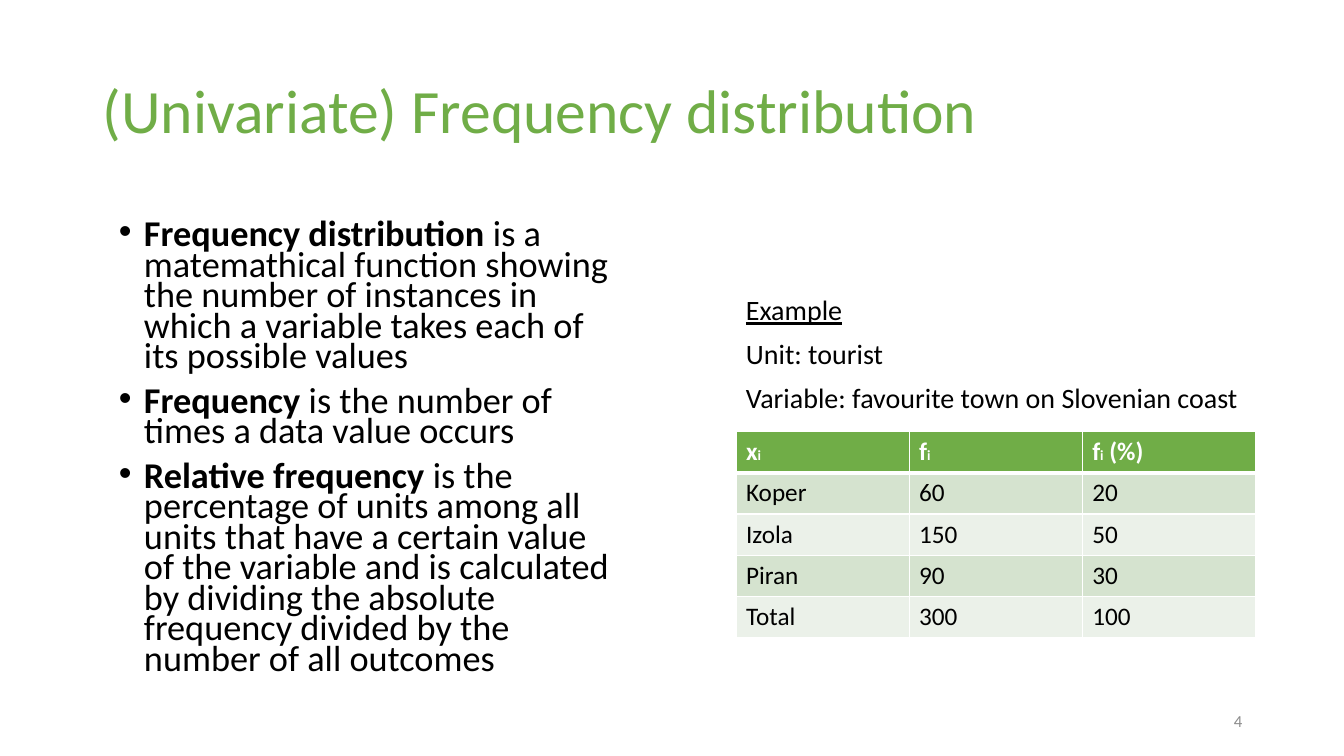
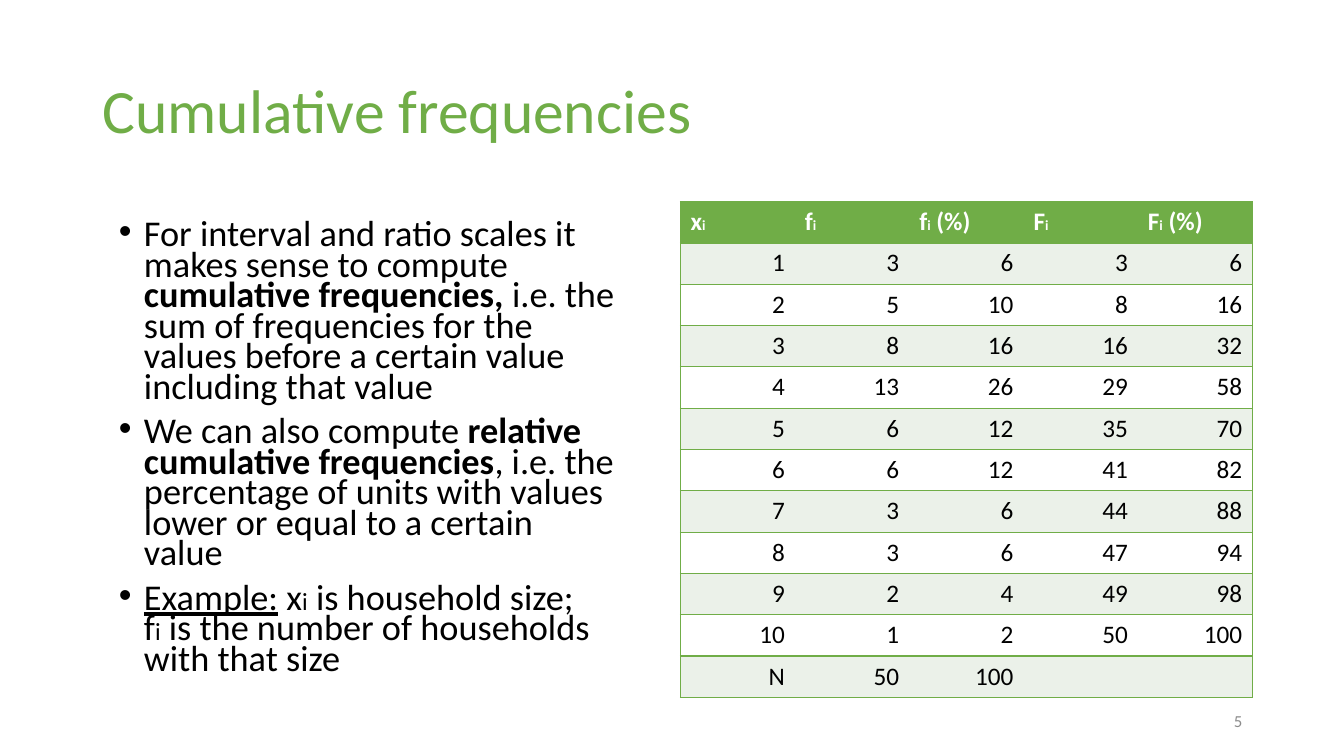
from lxml.etree import SubElement
from pptx import Presentation
from pptx.dml.color import RGBColor
from pptx.enum.text import MSO_ANCHOR, PP_ALIGN
from pptx.oxml.ns import qn
from pptx.util import Inches, Pt

FONT = "Calibri"
GREEN, BLACK, WHITE, GREY = "70AD47", "000000", "FFFFFF", "8C8C8C"
MID_GREEN, PALE_GREEN = "D5E3CF", "EBF1E9"
TITLE_BOX = (0.92, 0.4, 11.5, 1.45)
BODY_BOX = (1.08, 2.16, 5.14, 4.76)
EXAMPLE_BOX = (7.3, 2.89, 5.14, 1.4)
NUMBER_BOX = (9.42, 6.95, 3, 0.4)
ROW_HEIGHT = 0.41
BODY_SIZE, BODY_SUBSCRIPT = 25.9, 17.6
CELL_SIZE, CELL_SUBSCRIPT = 18, 10

X = [("x", ""), ("i", "sub")]
F = [("f", ""), ("i", "sub")]
CUMULATIVE_F = [("F", ""), ("i", "sub")]
PERCENT = [(" (%)", "")]

SLIDES = [
    {
        "title": "(Univariate) Frequency distribution",
        "number": 4,
        "bullets": [
            [("Frequency distribution ", "bold"),
             ("is a matemathical function showing the number of instances in which "
              "a variable takes each of its possible values", "")],
            [("Frequency ", "bold"), ("is the number of times a data value occurs", "")],
            [("Relative frequency ", "bold"),
             ("is the percentage of units among all units that have a certain value of "
              "the variable and is calculated by dividing the absolute frequency divided "
              "by the number of all outcomes", "")],
        ],
        "example": [
            [("Example", "underline")],
            [("Unit: tourist", "")],
            [("Variable: favourite town on Slovenian coast", "")],
        ],
        "table": {
            "box": (7.3, 4.28, 5.15),
            "header": [X, F, F + PERCENT],
            "rows": [
                ("Koper", 60, 20),
                ("Izola", 150, 50),
                ("Piran", 90, 30),
                ("Total", 300, 100),
            ],
            "bands": (MID_GREEN, PALE_GREEN),
            "align": PP_ALIGN.LEFT,
            "line": WHITE,
            "inner_columns": True,
            "header_line": 3,
        },
    },
    {
        "title": "Cumulative frequencies",
        "number": 5,
        "bullets": [
            [("For interval and ratio scales it makes sense to compute ", ""),
             ("cumulative frequencies,", "bold"),
             (" i.e. the sum of frequencies for the values before a certain value "
              "including that value", "")],
            [("We can also compute ", ""),
             ("relative cumulative frequencies", "bold"),
             (", i.e. the percentage of units with values lower or equal to a certain "
              "value", "")],
            [("Example:", "underline"), (" x", ""), ("i", "sub"),
             (" is household size;\nf", ""), ("i", "sub"),
             (" is the number of households with that size", "")],
        ],
        "example": [],
        "table": {
            "box": (6.75, 2, 5.67),
            "header": [X, F, F + PERCENT, CUMULATIVE_F, CUMULATIVE_F + PERCENT],
            "rows": [
                (1, 3, 6, 3, 6),
                (2, 5, 10, 8, 16),
                (3, 8, 16, 16, 32),
                (4, 13, 26, 29, 58),
                (5, 6, 12, 35, 70),
                (6, 6, 12, 41, 82),
                (7, 3, 6, 44, 88),
                (8, 3, 6, 47, 94),
                (9, 2, 4, 49, 98),
                (10, 1, 2, 50, 100),
                ("N", 50, 100, "", ""),
            ],
            "bands": (PALE_GREEN, WHITE),
            "align": PP_ALIGN.RIGHT,
            "line": GREEN,
            "inner_columns": False,
            "header_line": 1,
        },
    },
]


def color(value):
    return RGBColor.from_string(value)


def add_runs(paragraph, runs, size, fill, subscript=None, bold=False):
    for text, style in runs:
        for index, line in enumerate(text.split("\n")):
            if index:
                paragraph.add_line_break()
            run = paragraph.add_run()
            run.text = line
            font = run.font
            font.name = FONT
            font.size = Pt(subscript if style == "sub" else size)
            font.bold = bold or style == "bold"
            font.underline = style == "underline"
            font.color.rgb = color(fill)


def add_bullet(paragraph):
    properties = paragraph._p.get_or_add_pPr()
    properties.set("marL", str(Inches(0.25)))
    properties.set("indent", str(Inches(-0.25)))
    SubElement(properties, qn("a:buFont"), typeface="Arial")
    SubElement(properties, qn("a:buChar"), char="•")


def add_text(slide, box, paragraphs, size, fill=BLACK, anchor=MSO_ANCHOR.TOP,
             align=PP_ALIGN.LEFT, spacing=0.9, bullets=False):
    shape = slide.shapes.add_textbox(*map(Inches, box))
    frame = shape.text_frame
    frame.word_wrap = True
    frame.vertical_anchor = anchor
    for index, runs in enumerate(paragraphs):
        paragraph = frame.add_paragraph() if index else frame.paragraphs[0]
        if bullets:
            add_bullet(paragraph)
        paragraph.alignment = align
        paragraph.line_spacing = spacing
        if index:
            paragraph.space_before = Pt(10)
        add_runs(paragraph, runs, size, fill, BODY_SUBSCRIPT)


def set_border(cell, side, width, line):
    properties = cell._tc.get_or_add_tcPr()
    border = SubElement(properties, qn(f"a:ln{side}"), w=str(Pt(width)))
    if width:
        solid = SubElement(border, qn("a:solidFill"))
        SubElement(solid, qn("a:srgbClr"), val=line)
    else:
        SubElement(border, qn("a:noFill"))


def add_frequency_table(slide, data):
    left, top, width = data["box"]
    header = data["header"]
    rows = [header] + [[[(str(value), "")] for value in row] for row in data["rows"]]
    last_column = len(header) - 1
    inner = 1 if data["inner_columns"] else 0
    table = slide.shapes.add_table(
        len(rows), len(header), Inches(left), Inches(top), Inches(width),
        Inches(ROW_HEIGHT * len(rows))).table
    table.horz_banding = False
    for row_index, row in enumerate(rows):
        table.rows[row_index].height = Inches(ROW_HEIGHT)
        is_header = row_index == 0
        for column_index, runs in enumerate(row):
            cell = table.cell(row_index, column_index)
            borders = {
                "L": inner if column_index else 1,
                "R": inner if column_index < last_column else 1,
                "T": data["header_line"] if row_index == 1 else 1,
                "B": data["header_line"] if is_header else 1,
            }
            for side, line_width in borders.items():
                set_border(cell, side, line_width, data["line"])
            cell.fill.solid()
            band = data["bands"][(row_index - 1) % 2]
            cell.fill.fore_color.rgb = color(GREEN if is_header else band)
            paragraph = cell.text_frame.paragraphs[0]
            paragraph.alignment = PP_ALIGN.LEFT if is_header else data["align"]
            if runs[0][0]:
                add_runs(paragraph, runs, CELL_SIZE, WHITE if is_header else BLACK,
                         CELL_SUBSCRIPT, is_header)


def main():
    """Build the frequency distribution slides."""
    presentation = Presentation()
    presentation.slide_width, presentation.slide_height = Inches(13.33), Inches(7.5)
    for content in SLIDES:
        slide = presentation.slides.add_slide(presentation.slide_layouts[6])
        add_text(slide, TITLE_BOX, [[(content["title"], "")]], 44, GREEN,
                 MSO_ANCHOR.MIDDLE)
        add_text(slide, BODY_BOX, content["bullets"], BODY_SIZE, spacing=0.7,
                 bullets=True)
        if content["example"]:
            add_text(slide, EXAMPLE_BOX, content["example"], 20)
        add_frequency_table(slide, content["table"])
        add_text(slide, NUMBER_BOX, [[(str(content["number"]), "")]], 12, GREY,
                 MSO_ANCHOR.MIDDLE, PP_ALIGN.RIGHT, 1.0)
    presentation.save("out.pptx")


if __name__ == "__main__":
    main()
